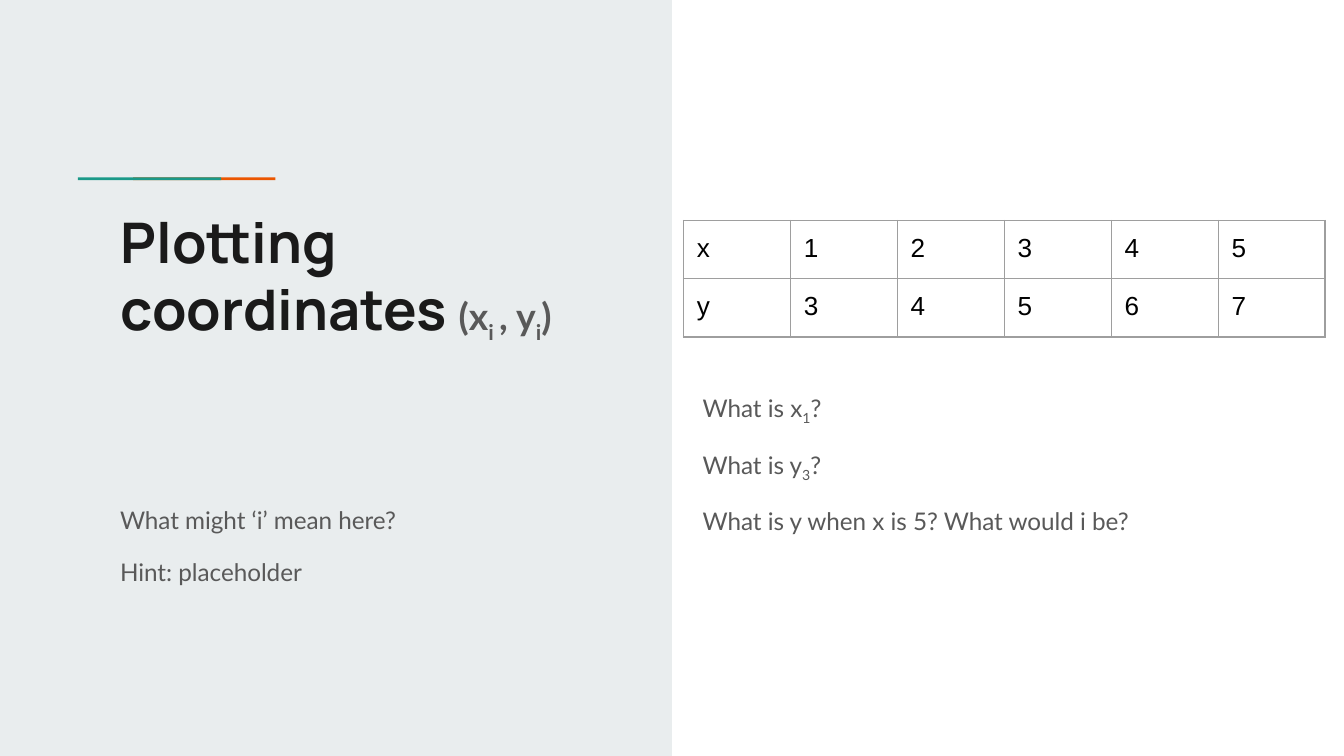
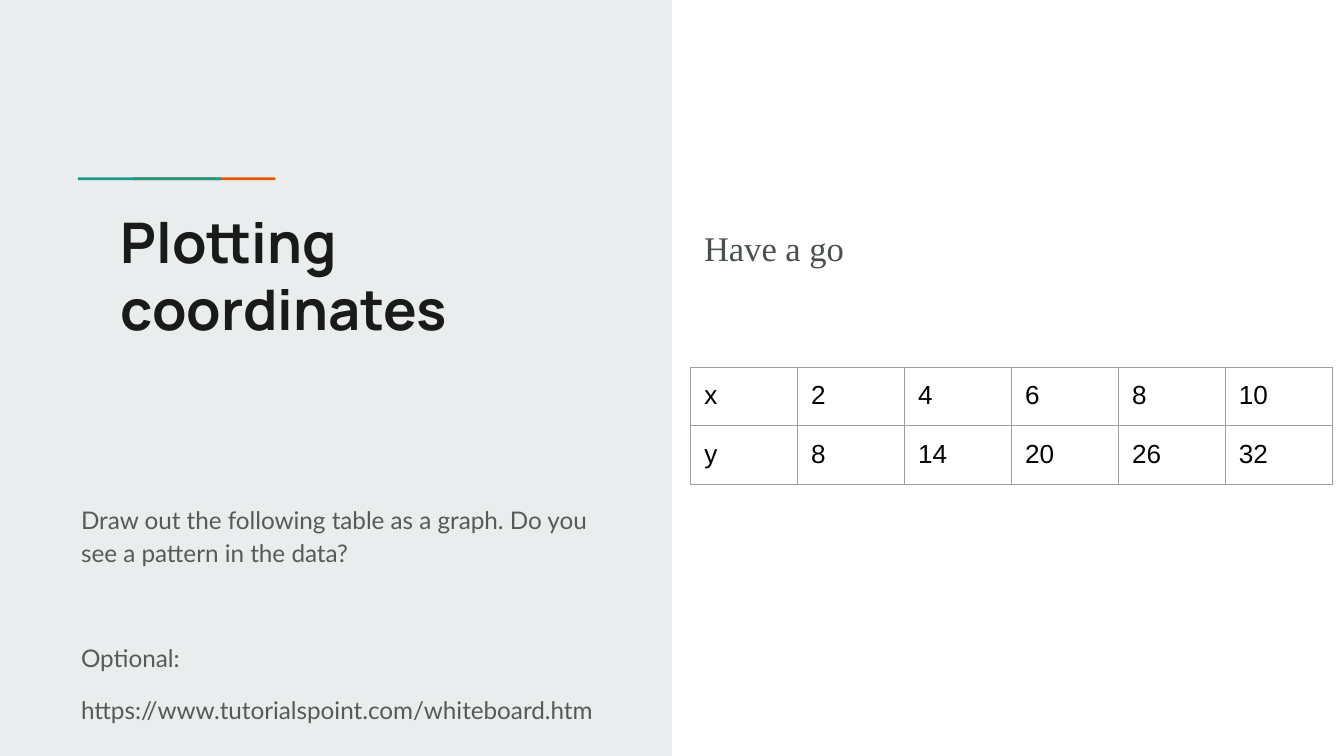
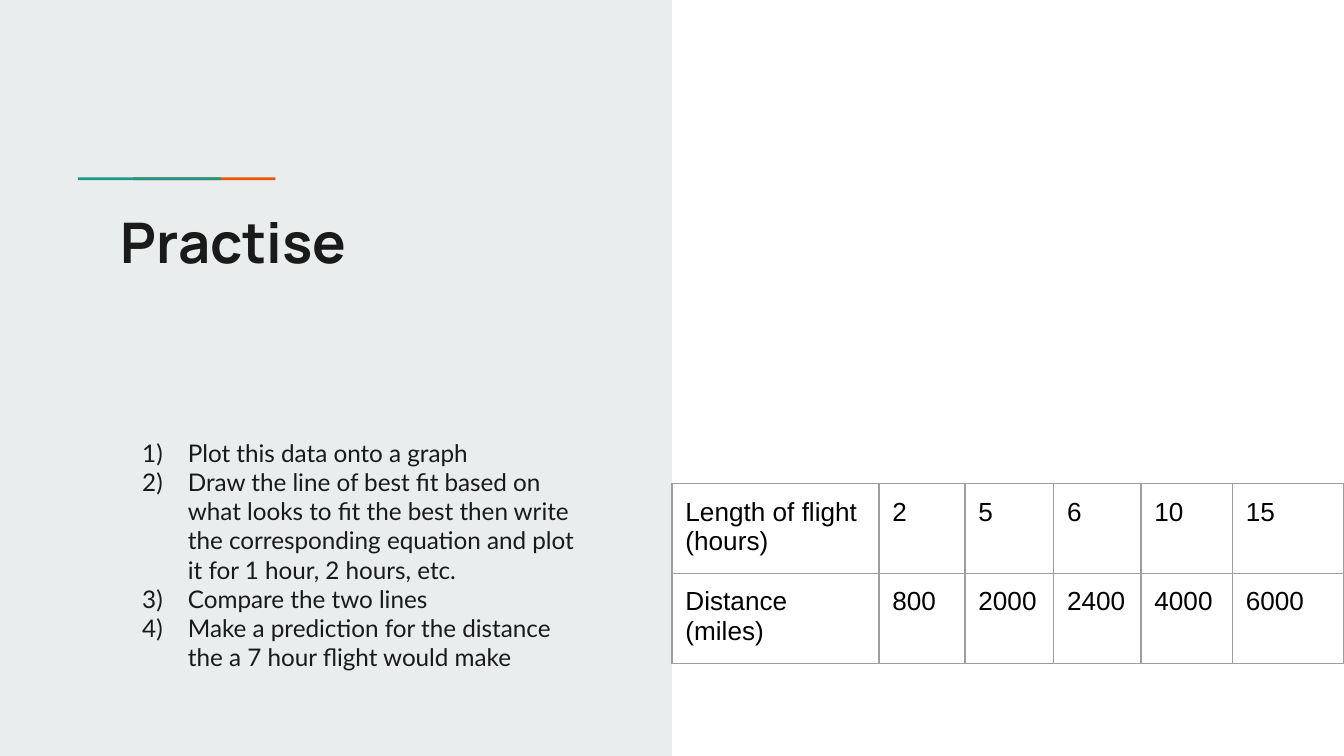
from dataclasses import dataclass
from typing import NamedTuple

import pptx
import pptx.dml.color
import pptx.enum.shapes
import pptx.oxml.ns
import pptx.util
from lxml import etree

# Square grid: 100 columns across, 56.25 rows down
CELL = pptx.util.Inches(0.1)
COLS, ROWS = 100, 56.25
HALF = COLS / 2

INK, GREY, SLATE, BLACK = "1A1A1A", "595959", "4A4F4F", "000000"
PANEL, TEAL, ORANGE, RULE = "E9EDEE", "1A9988", "EB5600", "9E9E9E"


class Box(NamedTuple):
    x: float
    y: float
    w: float
    h: float


class Style(NamedTuple):
    font: str
    size: float
    tint: str
    bold: bool = False


class Piece(NamedTuple):
    text: str  # parts between underscores are subscripts
    style: Style


@dataclass
class Para:
    pieces: list[Piece]
    before: float = 0
    after: float = 0
    line: float | None = None
    number: bool = False


@dataclass
class Grid:
    x: float
    y: float
    widths: list[float]
    heights: list[float]
    data: list[list[str]]


HEAD = Style("Manrope", 30, INK, True)
NOTE = Style("Lato", 13, GREY)
STEP = Style("Lato", 13, INK)
MATH = Style("Lato", 20, GREY, True)
CALL = Style("Times New Roman", 18.5, SLATE)
DATA = Style("Arial", 14, BLACK)

TITLE = Box(8, 14.45, 36.1, 18.5)
BARS = [(Box(9.9, 13.2, 10.6, 0.2), ORANGE), (Box(5.8, 13.2, 10.65, 0.2), TEAL)]
PAIR = [7.96] * 6, [4.3, 3]  # column widths and row heights of an x-y table


# Helpers
def span(cells: float) -> int:
    return round(cells * CELL)


def place(box: Box) -> list[int]:
    return [span(side) for side in box]


def hue(tint: str) -> pptx.dml.color.RGBColor:
    return pptx.dml.color.RGBColor.from_string(tint)


def node(parent, tag: str, **attrs: str):
    item = etree.SubElement(parent, pptx.oxml.ns.qn(tag))
    for key, value in attrs.items():
        item.set(key, value)
    return item


def pad(frame) -> None:
    frame.margin_left = frame.margin_right = CELL
    frame.margin_top = frame.margin_bottom = CELL


# Text
def write(para, piece: Piece) -> None:
    style = piece.style
    for index, part in enumerate(piece.text.split("_")):
        if not part:
            continue
        run = para.add_run()
        run.text = part
        font = run.font
        font.name, font.size, font.bold = style.font, pptx.util.Pt(style.size), style.bold
        font.color.rgb = hue(style.tint)
        if index % 2:
            run._r.get_or_add_rPr().set("baseline", "-25000")


def number(para) -> None:
    props = para._p.get_or_add_pPr()
    props.set("marL", str(span(5)))
    props.set("indent", str(span(-3.4)))
    node(node(props, "a:buClr"), "a:srgbClr", val=INK)
    node(props, "a:buAutoNum", type="arabicParenR")


def text(slide, box: Box, paras: list[Para]) -> None:
    frame = slide.shapes.add_textbox(*place(box)).text_frame
    frame.word_wrap = True
    pad(frame)
    for index, item in enumerate(paras):
        para = frame.add_paragraph() if index else frame.paragraphs[0]
        para.space_before = pptx.util.Pt(item.before)
        para.space_after = pptx.util.Pt(item.after)
        if item.line:
            para.line_spacing = item.line
        if item.number:
            number(para)
        for piece in item.pieces:
            write(para, piece)


def notes(slide, box: Box, lines: list[str], gaps: dict[int, float] | None = None) -> None:
    gaps = {0: 0, **(gaps or {})}
    text(slide, box, [Para([Piece(line, NOTE)], gaps.get(index, 10), line=1.15)
                      for index, line in enumerate(lines)])


# Tables
def edge(cell) -> None:
    props = cell._tc.get_or_add_tcPr()
    for side in "LRTB":
        line = node(props, f"a:ln{side}", w=str(pptx.util.Pt(0.75)))
        node(node(line, "a:solidFill"), "a:srgbClr", val=RULE)


def table(slide, grid: Grid) -> None:
    rows, cols = len(grid.heights), len(grid.widths)
    box = Box(grid.x, grid.y, sum(grid.widths), sum(grid.heights))
    body = slide.shapes.add_table(rows, cols, *place(box)).table
    body.first_row = body.horz_banding = False
    for col, width in zip(body.columns, grid.widths):
        col.width = span(width)
    for row, height, values in zip(body.rows, grid.heights, grid.data):
        row.height = span(height)
        for cell, value in zip(row.cells, values):
            pad(cell)
            edge(cell)
            cell.fill.background()
            write(cell.text_frame.paragraphs[0], Piece(value, DATA))


# Shared slide frame
def block(slide, box: Box, tint: str) -> None:
    shape = slide.shapes.add_shape(pptx.enum.shapes.MSO_SHAPE.RECTANGLE, *place(box))
    shape.shadow.inherit = False
    shape.fill.solid()
    shape.fill.fore_color.rgb = hue(tint)
    shape.line.fill.background()


def start(deck, title: list[Piece], extra: list[Para] | None = None):
    slide = deck.slides.add_slide(deck.slide_layouts[6])
    block(slide, Box(0, 0, HALF, ROWS), PANEL)
    for box, tint in BARS:
        block(slide, box, tint)
    text(slide, TITLE, [Para(title), *(extra or [])])
    return slide


# Slides
def index_slide(deck) -> None:
    slide = start(deck, [Piece("Plotting coordinates ", HEAD),
                         Piece("(x_i _, y_i_)", MATH)])
    notes(slide, Box(7.95, 36.25, 40.7, 8.3),
          ["What might ‘i’ mean here?", "Hint: placeholder"])
    table(slide, Grid(50.85, 16.4, *PAIR,
                      [["x", "1", "2", "3", "4", "5"],
                       ["y", "3", "4", "5", "6", "7"]]))
    notes(slide, Box(51.3, 27.9, 40.7, 8.3),
          ["What is x_1_?", "What is y_3_?",
           "What is y when x is 5? What would i be?"])


def graph_slide(deck) -> None:
    slide = start(deck, [Piece("Plotting coordinates", HEAD)])
    notes(slide, Box(5.05, 36.25, 41.2, 8.3),
          ["Draw out the following table as a graph. Do you see a pattern in the data?",
           "Optional:", "https://www.tutorialspoint.com/whiteboard.htm"], {1: 38})
    text(slide, Box(51.4, 15.3, 45.5, 32.8),
         [Para([Piece("Have a go", CALL)], line=1.2)])
    table(slide, Grid(51.4, 27.35, *PAIR,
                      [["x", "2", "4", "6", "8", "10"],
                       ["y", "8", "14", "20", "26", "32"]]))


def flight_slide(deck) -> None:
    steps = ["Plot this data onto a graph",
             "Draw the line of best fit based on what looks to fit the best then write "
             "the corresponding equation and plot it for 1 hour, 2 hours, etc.",
             "Compare the two lines",
             "Make a prediction for the distance the a 7 hour flight would make"]
    extra = [Para([Piece(step, STEP)], 0 if index else 87.5, number=True)
             for index, step in enumerate(steps)]
    slide = start(deck, [Piece("Practise", HEAD)], extra)
    table(slide, Grid(HALF, 36, [15.4, 6.4, 6.6, 6.5, 6.8, 8.3], [6.65] * 2,
                      [["Length of flight (hours)", "2", "5", "6", "10", "15"],
                       ["Distance (miles)", "800", "2000", "2400", "4000", "6000"]]))


def main() -> None:
    deck = pptx.Presentation()
    deck.slide_width, deck.slide_height = span(COLS), span(ROWS)
    for build in (index_slide, graph_slide, flight_slide):
        build(deck)
    deck.save("out.pptx")


if __name__ == "__main__":
    main()
